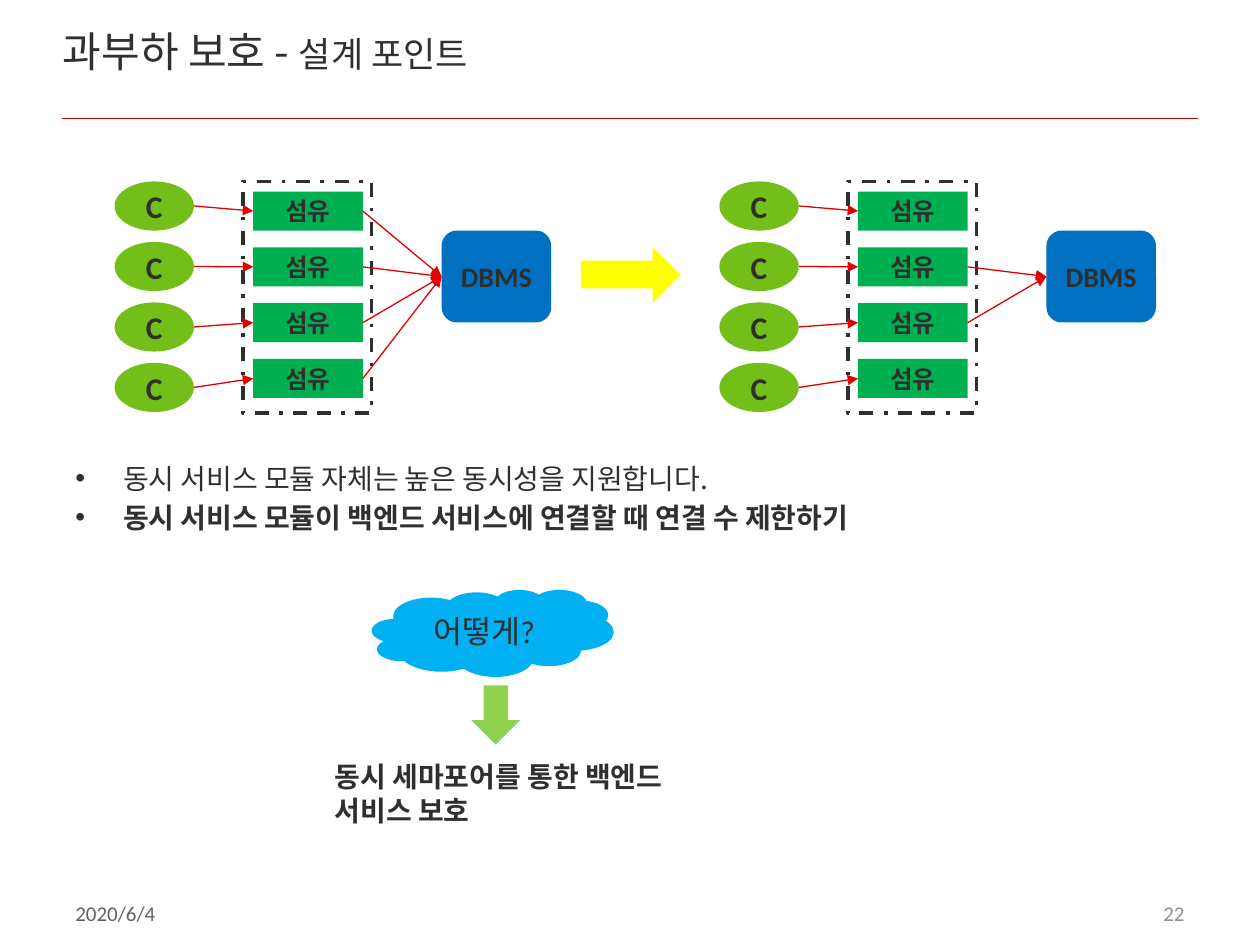
"""Build the overload protection slide with its before and after connection diagrams."""
from dataclasses import dataclass

from lxml.etree import SubElement
from pptx import Presentation
from pptx.dml.color import RGBColor
from pptx.enum.dml import MSO_LINE
from pptx.enum.shapes import MSO_CONNECTOR, MSO_SHAPE
from pptx.enum.text import MSO_ANCHOR, PP_ALIGN
from pptx.oxml.ns import qn
from pptx.shapes.autoshape import Shape
from pptx.shapes.connector import Connector
from pptx.slide import Slide
from pptx.text.text import _Paragraph
from pptx.util import Inches, Pt

INK = RGBColor(0x2F, 0x2F, 0x2F)
TITLE_INK = RGBColor(0x30, 0x30, 0x30)
DATE_GRAY = RGBColor(0x63, 0x63, 0x63)
NUMBER_GRAY = RGBColor(0x8F, 0x8F, 0x8F)
RULE_RED = RGBColor(0xC0, 0x00, 0x00)
LINK_RED = RGBColor(0xE1, 0x00, 0x00)
CLIENT_GREEN = RGBColor(0x74, 0xBE, 0x1A)
FIBER_GREEN = RGBColor(0x00, 0xB0, 0x50)
DATABASE_BLUE = RGBColor(0x00, 0x70, 0xC0)
CLOUD_BLUE = RGBColor(0x00, 0xB0, 0xF0)
YELLOW = RGBColor(0xFF, 0xFF, 0x00)
LIGHT_GREEN = RGBColor(0x92, 0xD0, 0x50)
LATIN = "Calibri"
HANGUL = "Noto Sans CJK SC"
LEFT_SIDE, RIGHT_SIDE = 1, 3


@dataclass(frozen=True)
class Box:
    left: float
    top: float
    width: float
    height: float

    def lengths(self) -> list[Inches]:
        return [Inches(v) for v in (self.left, self.top, self.width, self.height)]


@dataclass(frozen=True)
class TextStyle:
    size: float
    name: str = LATIN
    color: RGBColor = INK
    bold: bool = False


@dataclass(frozen=True)
class Diagram:
    left: float
    linked_fibers: tuple[int, ...]


def add_run(paragraph: _Paragraph, words: str, style: TextStyle) -> None:
    run = paragraph.add_run()
    run.text = words
    formats = {"size": Pt(style.size), "name": style.name, "bold": style.bold}
    for attribute, value in formats.items():
        setattr(run.font, attribute, value)
    run.font.color.rgb = style.color
    SubElement(run.font._element, qn("a:ea"), typeface=HANGUL)


def add_shape(slide: Slide, kind: MSO_SHAPE, box: Box, fill: RGBColor | None,
              words: str = "", style: TextStyle | None = None) -> Shape:
    shape = slide.shapes.add_shape(kind, *box.lengths())
    shape.shadow.inherit = False
    shape.line.fill.background()
    if fill is None:
        shape.fill.background()
    else:
        shape.fill.solid()
        shape.fill.fore_color.rgb = fill
    if style:
        shape.text_frame.vertical_anchor = MSO_ANCHOR.MIDDLE
        paragraph = shape.text_frame.paragraphs[0]
        paragraph.alignment = PP_ALIGN.CENTER
        add_run(paragraph, words, style)
    return shape


def add_text(slide: Slide, box: Box, runs: list[tuple[str, TextStyle]],
             align: PP_ALIGN = PP_ALIGN.LEFT, **frame_formats) -> None:
    frame = slide.shapes.add_textbox(*box.lengths()).text_frame
    for attribute, value in {"word_wrap": True, **frame_formats}.items():
        setattr(frame, attribute, value)
    paragraph = frame.paragraphs[0]
    paragraph.alignment = align
    for words, style in runs:
        add_run(paragraph, words, style)


def add_bullets(slide: Slide, box: Box, points: list[tuple[str, TextStyle]]) -> None:
    frame = slide.shapes.add_textbox(*box.lengths()).text_frame
    frame.word_wrap = True
    for index, (words, style) in enumerate(points):
        paragraph = frame.add_paragraph() if index else frame.paragraphs[0]
        paragraph.space_before = Pt(0.2 * style.size)
        properties = paragraph._p.get_or_add_pPr()
        properties.set("marL", str(Inches(0.38)))
        properties.set("indent", str(-Inches(0.38)))
        SubElement(properties, qn("a:buFont"), typeface="Arial")
        SubElement(properties, qn("a:buChar"), char="•")
        add_run(paragraph, words, style)


def add_line(slide: Slide, start: tuple[float, float], end: tuple[float, float],
             color: RGBColor, width: float) -> Connector:
    points = [Inches(v) for v in (*start, *end)]
    line = slide.shapes.add_connector(MSO_CONNECTOR.STRAIGHT, *points)
    line.line.color.rgb = color
    line.line.width = Pt(width)
    SubElement(line._element.spPr, qn("a:effectLst"))
    return line


def add_link(slide: Slide, start: tuple[float, float], target: Shape) -> Connector:
    link = add_line(slide, start, start, LINK_RED, 0.75)
    link.end_connect(target, LEFT_SIDE)
    SubElement(link.line._get_or_add_ln(), qn("a:tailEnd"), type="triangle")
    return link


def draw_diagram(slide: Slide, diagram: Diagram) -> None:
    left = diagram.left
    clients = [Box(left, 1.44 + 0.48 * row, 0.63, 0.39) for row in range(4)]
    for client in clients:
        add_shape(slide, MSO_SHAPE.OVAL, client, CLIENT_GREEN, "C", TextStyle(18, bold=True))
    fibers = [
        add_shape(slide, MSO_SHAPE.RECTANGLE, Box(left + 1.1, 1.52 + 0.443 * row, 0.87, 0.31),
                  FIBER_GREEN, "섬유", TextStyle(14, bold=True))
        for row in range(4)
    ]
    pool = add_shape(slide, MSO_SHAPE.RECTANGLE, Box(left + 1.02, 1.44, 1.02, 1.84), None)
    line_formats = {"width": Pt(2), "dash_style": MSO_LINE.DASH_DOT}
    pool.line.color.rgb = INK
    for attribute, value in line_formats.items():
        setattr(pool.line, attribute, value)
    for client, fiber in zip(clients, fibers):
        add_link(slide, (left + client.width, client.top + client.height / 2), fiber)
    database = add_shape(slide, MSO_SHAPE.ROUNDED_RECTANGLE, Box(left + 2.595, 1.83, 0.87, 0.73),
                         DATABASE_BLUE, "DBMS", TextStyle(16, bold=True))
    for row in diagram.linked_fibers:
        link = add_link(slide, (left + 1.97, 2.19), database)
        link.begin_connect(fibers[row], RIGHT_SIDE)


def main() -> None:
    presentation = Presentation()
    presentation.slide_width, presentation.slide_height = Inches(10), Inches(7.5)
    slide = presentation.slides.add_slide(presentation.slide_layouts[6])

    add_line(slide, (0.49, 0.94), (9.51, 0.94), RULE_RED, 1)
    add_text(slide, Box(0.5, 6.98, 2.33, 0.53), [("2020/6/4", TextStyle(12, color=DATE_GRAY))],
             vertical_anchor=MSO_ANCHOR.MIDDLE)
    add_text(slide, Box(7.17, 6.98, 2.33, 0.53), [("22", TextStyle(12, color=NUMBER_GRAY))],
             PP_ALIGN.RIGHT, vertical_anchor=MSO_ANCHOR.MIDDLE)
    margins = dict.fromkeys(("margin_left", "margin_top", "margin_right", "margin_bottom"), 0)
    add_text(slide, Box(0.5, 0.2, 7.73, 0.7),
             [("과부하 보호 - ", TextStyle(24, HANGUL, TITLE_INK)),
              ("설계 포인트", TextStyle(20, HANGUL, TITLE_INK))], **margins)
    add_bullets(slide, Box(0.5, 3.61, 9, 0.99), [
        ("동시 서비스 모듈 자체는 높은 동시성을 지원합니다.", TextStyle(16, HANGUL, TITLE_INK)),
        ("동시 서비스 모듈이 백엔드 서비스에 연결할 때 연결 수 제한하기",
         TextStyle(16, HANGUL, TITLE_INK, True)),
    ])

    for diagram in (Diagram(0.91, (0, 1, 2, 3)), Diagram(5.71, (1, 2))):
        draw_diagram(slide, diagram)
    add_shape(slide, MSO_SHAPE.RIGHT_ARROW, Box(4.61, 1.96, 0.79, 0.44), YELLOW)

    add_shape(slide, MSO_SHAPE.CLOUD, Box(2.95, 4.68, 1.92, 0.69), CLOUD_BLUE,
              "어떻게?", TextStyle(18))
    add_text(slide, Box(2.56, 5.98, 3.23, 0.37),
             [("동시 세마포어를 통한 백엔드 서비스 보호", TextStyle(16, HANGUL, bold=True))])
    add_shape(slide, MSO_SHAPE.DOWN_ARROW, Box(3.74, 5.44, 0.39, 0.47), LIGHT_GREEN)

    presentation.save("out.pptx")


if __name__ == "__main__":
    main()
